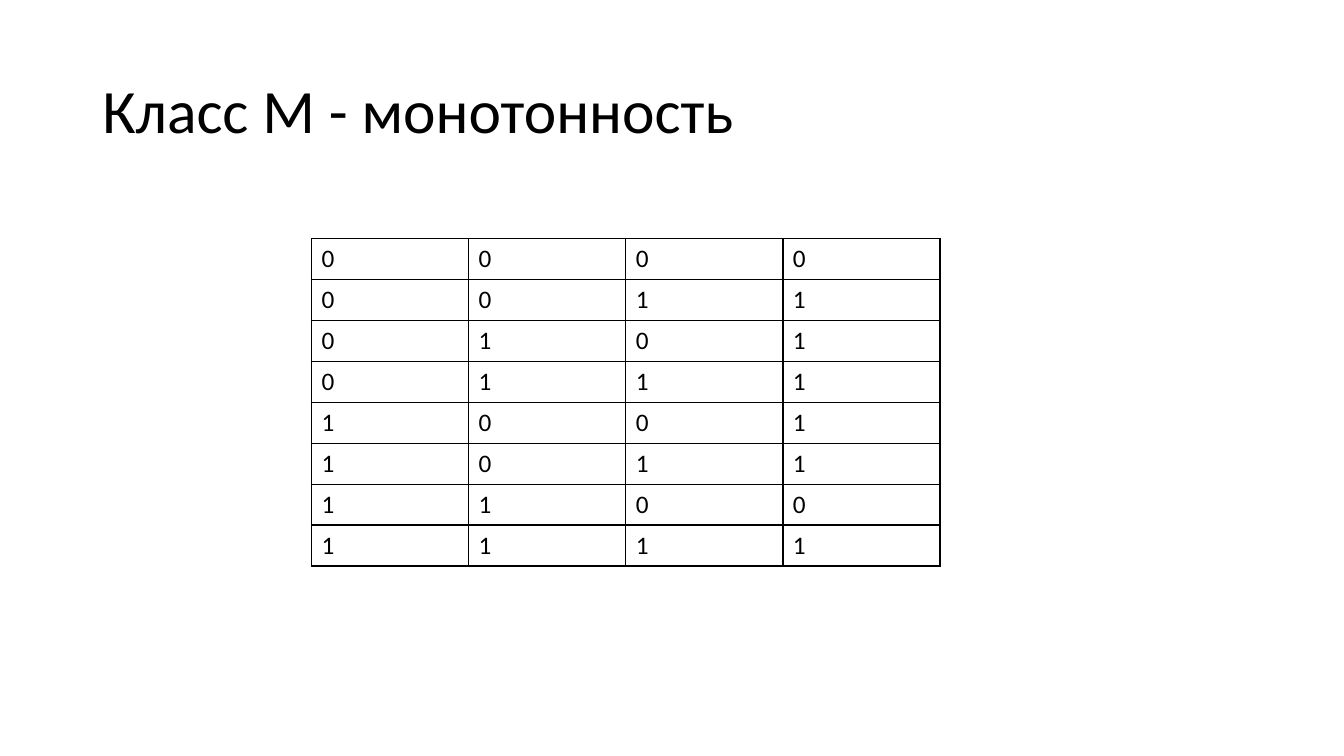
from lxml import etree
from pptx import Presentation
from pptx.dml.color import RGBColor
from pptx.enum.text import MSO_ANCHOR
from pptx.oxml.ns import qn
from pptx.util import Cm, Pt

MIDDLE = MSO_ANCHOR.MIDDLE
TOP = MSO_ANCHOR.TOP
FONT = "Calibri"
BLACK = "000000"
VALUES = "01111101"
SIDES = ("a:lnL", "a:lnR", "a:lnT", "a:lnB")


def color(code):
    return RGBColor.from_string(code)


def write(frame, text, size=18, code=BLACK, anchor=TOP, space=1.0):
    frame.word_wrap = True
    frame.vertical_anchor = anchor
    line = frame.paragraphs[0]
    line.line_spacing = space
    run = line.add_run()
    run.text = text
    run.font.name = FONT
    run.font.size = Pt(size)
    run.font.color.rgb = color(code)


def add_title(slide, text):
    box = slide.shapes.add_textbox(Cm(2.33), Cm(1.01), Cm(29.21), Cm(3.68))
    write(box.text_frame, text, size=44, anchor=MIDDLE, space=0.9)


def add_border(cell, code=BLACK, width=1):
    props = cell._tc.get_or_add_tcPr()
    for index, side in enumerate(SIDES):
        line = etree.Element(qn(side), w=str(Pt(width)))
        fill = etree.SubElement(line, qn("a:solidFill"))
        etree.SubElement(fill, qn("a:srgbClr"), val=code)
        props.insert(index, line)


def add_grid(slide, rows):
    count, width = len(rows), len(rows[0])
    frame = slide.shapes.add_table(
        count, width, Cm(7.85), Cm(6.02), Cm(3.96 * width), Cm(1.03 * count)
    )
    table = frame.table
    table.first_row = False
    table.horz_banding = False
    for y, row in enumerate(rows):
        for x, digit in enumerate(row):
            cell = table.cell(y, x)
            cell.fill.background()
            add_border(cell)
            write(cell.text_frame, digit)


def main():
    deck = Presentation()
    deck.slide_width = Cm(33.87)
    deck.slide_height = Cm(19.05)
    slide = deck.slides.add_slide(deck.slide_layouts[6])
    add_grid(slide, [f"{index:03b}{value}" for index, value in enumerate(VALUES)])
    add_title(slide, "Класс М - монотонность")
    deck.save("out.pptx")


if __name__ == "__main__":
    main()
